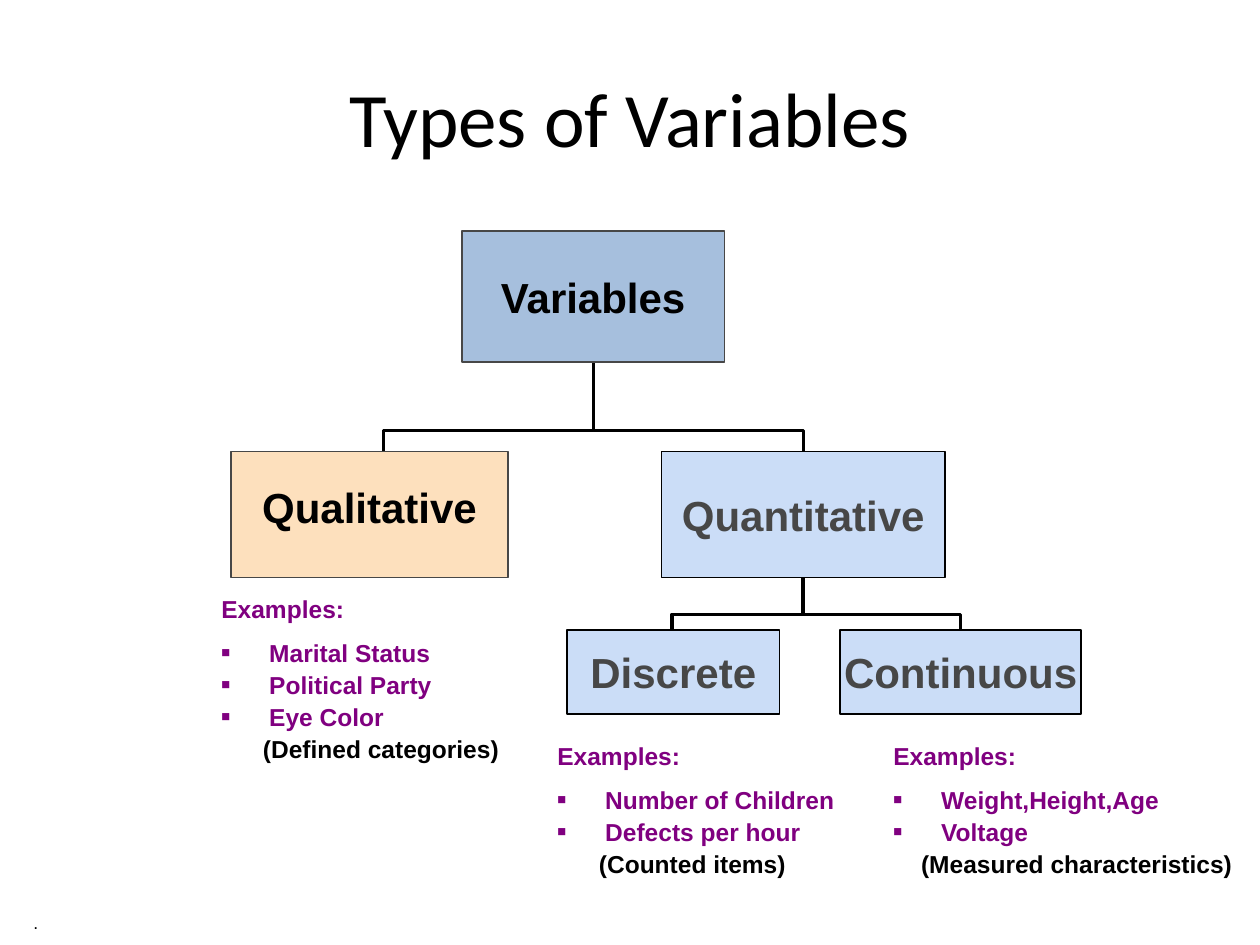
"""Build a slide with a tree of variable types and examples of each."""
import pptx
import pptx.dml.color
import pptx.enum.shapes
import pptx.enum.text
import pptx.oxml
import pptx.oxml.ns
import pptx.util

RGB = pptx.dml.color.RGBColor
BLACK = RGB(0, 0, 0)
GREY = RGB(0x47, 0x47, 0x47)
BLUE = RGB(0x4F, 0x81, 0xBD)
PALE = RGB(0xCB, 0xDD, 0xF7)
PEACH = RGB(0xFD, 0xE0, 0xBD)
PURPLE = RGB(0x80, 0x00, 0x80)

Pt = pptx.util.Pt
Inches = pptx.util.Inches
MIDDLE = pptx.enum.text.MSO_ANCHOR.MIDDLE
CENTER = pptx.enum.text.PP_ALIGN.CENTER
LEFT = pptx.enum.text.PP_ALIGN.LEFT


def grid(*cells):
    """Turn grid steps of a twelfth of an inch into lengths."""
    return [Inches(cell / 12) for cell in cells]


def add_xml(parent, tag, **attrs):
    """Append a drawing element with the given attributes."""
    node = pptx.oxml.parse_xml(f"<a:{tag} {pptx.oxml.ns.nsdecls('a')}/>")
    for name, value in attrs.items():
        node.set(name, str(value))
    parent.append(node)
    return node


def style(para, size, color, bold=False, face="Arial"):
    """Set the font of a whole paragraph."""
    font = para.font
    font.name, font.size, font.bold = face, Pt(size), bold
    font.color.rgb = color


def add_text(slide, area, text, size, face, align):
    """Add one line of plain text, centred in height."""
    frame = slide.shapes.add_textbox(*grid(*area)).text_frame
    frame.word_wrap = True
    frame.vertical_anchor = MIDDLE
    para = frame.paragraphs[0]
    para.text, para.alignment = text, align
    style(para, size, BLACK, face=face)


def add_box(slide, area, text, fill, line, color, lift=0, alpha=None):
    """Add a box of the tree, its label raised by half the lift."""
    kind = pptx.enum.shapes.MSO_SHAPE.RECTANGLE
    box = slide.shapes.add_shape(kind, *grid(*area))
    box.shadow.inherit = False
    box.fill.solid()
    box.fill.fore_color.rgb = fill
    if alpha:
        tint = box._element.spPr.find(".//" + pptx.oxml.ns.qn("a:srgbClr"))
        add_xml(tint, "alpha", val=alpha * 1000)
    box.line.color.rgb, box.line.width = line, Pt(1)
    frame = box.text_frame
    frame.word_wrap = False
    frame.vertical_anchor = MIDDLE
    frame.margin_bottom = Inches(0.05 + lift)
    para = frame.paragraphs[0]
    para.text, para.alignment = text, CENTER
    style(para, 24, color, True)


def add_link(slide, child, root, bend, width):
    """Add an elbow from the top of a child box to the foot of its root."""
    (x1, y1), (x2, y2) = child, root
    long, wide = y1 - y2, abs(x1 - x2)
    left, top = (x1 + x2 - long) / 2, (y1 + y2 - wide) / 2
    ends = [left, left + long]
    if x1 > x2:
        ends.reverse()
    kind = pptx.enum.shapes.MSO_CONNECTOR.ELBOW
    link = slide.shapes.add_connector(
        kind, *grid(ends[0], top, ends[1], top + wide))
    link.line.color.rgb, link.line.width = BLACK, Pt(width)
    shape = link._element.spPr
    shape.xfrm.set("rot", str((90 if x1 > x2 else 270) * 60000))
    guides = shape.find(".//" + pptx.oxml.ns.qn("a:avLst"))
    add_xml(guides, "gd", name="adj1", fmla=f"val {round(bend * 100000)}")
    add_xml(shape, "effectLst")


def add_bullet(para):
    """Give a paragraph a small purple square bullet."""
    props = para._p.get_or_add_pPr()
    tint = add_xml(props, "buClr")
    add_xml(tint, "srgbClr", val=PURPLE)
    add_xml(props, "buSzPct", val=60000)
    add_xml(props, "buFont", typeface="Arial")
    add_xml(props, "buChar", char="■")


def add_list(slide, area, items, note, shift):
    """Add a list of examples that ends in an indented note."""
    frame = slide.shapes.add_textbox(*grid(*area)).text_frame
    frame.word_wrap = True
    frame.margin_left = frame.margin_right = Inches(0.09)
    lines = ["Examples:", *items, note]
    for row, text in enumerate(lines):
        para = frame.paragraphs[0] if row == 0 else frame.add_paragraph()
        para.text = text
        last = row == len(lines) - 1
        style(para, 14, BLACK if last else PURPLE, True)
        if row:
            para.space_before = Pt(8 if row == 1 else 1.5)
        props = para._p.get_or_add_pPr()
        if last:
            props.set("marL", str(Inches(shift)))
        elif row:
            props.set("marL", str(Inches(0.38)))
            props.set("indent", str(-Inches(0.38)))
            add_bullet(para)


def main():
    """Build and save the slide."""
    deck = pptx.Presentation()
    deck.slide_width, deck.slide_height = grid(120, 90)
    slide = deck.slides.add_slide(deck.slide_layouts[6])

    add_text(slide, (6, 3.6, 108, 15), "Types of Variables", 44, "Calibri", CENTER)
    add_text(slide, (2, 85.8, 74, 4.2), ".", 10, "Arial", LEFT)

    for x in (91.5, 64):
        add_link(slide, (x, 60), (76.5, 55), 0.3, 2)
    for x in (76.5, 36.5):
        add_link(slide, (x, 43), (56.5, 34.5), 0.24, 1.75)

    add_box(slide, (44, 22, 25, 12.5), "Variables", BLUE, GREY, BLACK, alpha=50)
    add_box(slide, (22, 43, 26.4, 12), "Qualitative", PEACH, GREY, BLACK, lift=0.12)
    for area, text in (
        ((63, 43, 27, 12), "Quantitative"),
        ((54, 60, 20.25, 8), "Discrete"),
        ((80, 60, 23, 8), "Continuous"),
    ):
        add_box(slide, area, text, PALE, BLACK, GREY)

    add_list(slide, (20, 56, 33, 17),
             ["Marital Status", "Political Party", "Eye Color"],
             "(Defined categories)", 0.33)
    add_list(slide, (52, 70, 30, 14.25),
             ["Number of Children", "Defects per hour"],
             "(Counted items)", 0.33)
    add_list(slide, (84, 70, 36, 14.4),
             ["Weight,Height,Age", "Voltage"],
             "(Measured characteristics)", 0.22)
    deck.save("out.pptx")


if __name__ == "__main__":
    main()
